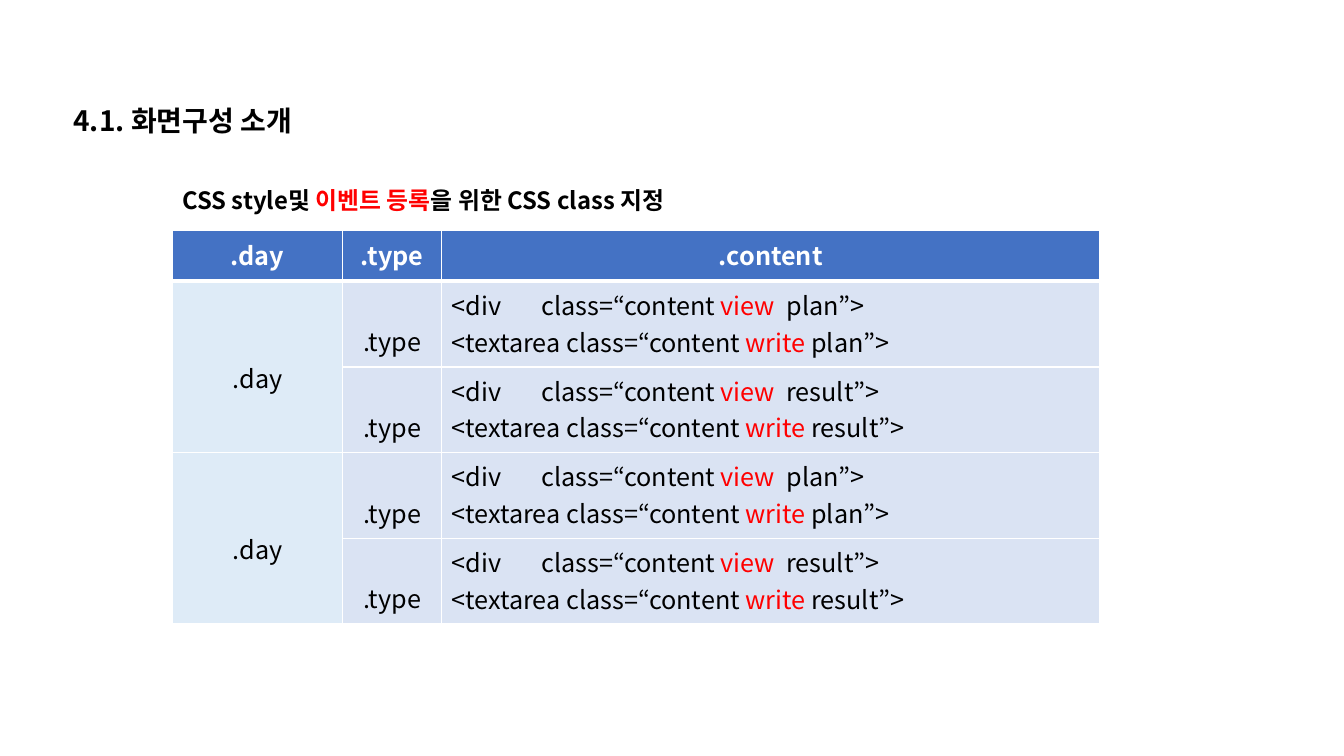
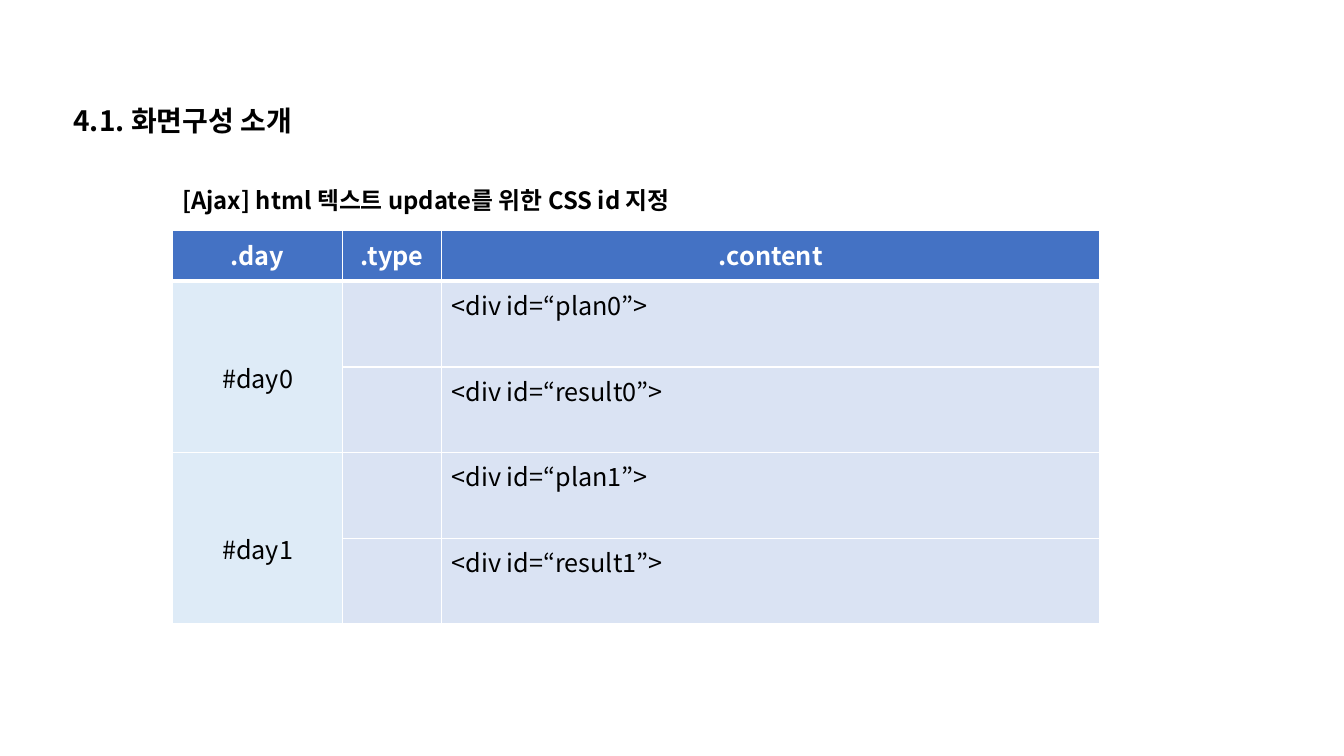
from dataclasses import dataclass
from lxml.etree import SubElement
from pptx import Presentation
from pptx.dml.color import RGBColor
from pptx.enum.text import MSO_ANCHOR, PP_ALIGN
from pptx.oxml import parse_xml
from pptx.oxml.ns import nsdecls, qn
from pptx.util import Inches, Pt


@dataclass(frozen=True)
class Theme:
    font: str = "Noto Sans CJK KR"
    title_size: int = 20
    subtitle_size: int = 17
    table_size: int = 18
    text: str = "000000"
    accent: str = "FF0000"
    white: str = "FFFFFF"
    header: str = "4472C4"
    day: str = "DEEBF7"
    body: str = "DAE3F3"
    thin: float = 1
    thick: float = 3


T = Theme()
TITLE = "4.1. 화면구성 소개"
HEADERS = [".day", ".type", ".content"]
TITLE_BOX = (0.63, 1, 2.85, 0.42)
SUBTITLE_BOX = (1.71, 1.86, 7.95, 0.31)
TABLE_BOX = (1.71, 2.29, 9.2, 3.9)
COLS = [1.69, 0.98, 6.53]
HEADER_HEIGHT = 0.5
LINE = 0.36      # height of one table text line
INSET = 0.05     # default top inset of a cell
TAB = 0.89       # where the class attribute starts after <div


def add_runs(p, runs, size, color=T.text, bold=False):
    """Add (text, colour) pairs or plain strings to a paragraph."""
    for run in runs:
        text, run_color = (run, color) if isinstance(run, str) else run
        r = p.add_run()
        r.text = text
        r.font.name = T.font
        r.font.size = Pt(size)
        r.font.bold = bold
        r.font.color.rgb = RGBColor.from_string(run_color)
        SubElement(r.font._element, qn("a:ea"), typeface=T.font)


def add_heading(s, box, runs, size, spacing):
    tf = s.shapes.add_textbox(*map(Inches, box)).text_frame
    tf.word_wrap = True
    tf.vertical_anchor = MSO_ANCHOR.MIDDLE
    p = tf.paragraphs[0]
    p.line_spacing = spacing
    p.space_before = Pt(10)
    add_runs(p, runs, size, bold=True)


def set_borders(cell, top, bottom):
    tc_pr = cell._tc.get_or_add_tcPr()
    widths = {"lnL": T.thin, "lnR": T.thin, "lnT": top, "lnB": bottom}
    for i, (tag, width) in enumerate(widths.items()):
        tc_pr.insert(i, parse_xml(
            f'<a:{tag} {nsdecls("a")} w="{Pt(width)}"><a:solidFill>'
            f'<a:srgbClr val="{T.white}"/></a:solidFill></a:{tag}>'))


def fill_cell(cell, lines, skip=0, align=PP_ALIGN.CENTER, **style):
    """Write lines of runs, starting `skip` text lines below the top."""
    cell.margin_top = Inches(INSET + skip * LINE)
    tf = cell.text_frame
    for i, runs in enumerate(lines):
        p = tf.add_paragraph() if i else tf.paragraphs[0]
        p.alignment = align
        if any("\t" in run for run in runs):
            tabs = SubElement(p._p.get_or_add_pPr(), qn("a:tabLst"))
            SubElement(tabs, qn("a:tab"), pos=str(Inches(TAB)), algn="l")
        add_runs(p, runs, T.table_size, **style)


def add_day_table(s, box, days, type_label, contents):
    """Header row, then for each day a merged cell beside its content rows."""
    n = len(contents)
    table = s.shapes.add_table(n + 1, len(COLS), *map(Inches, box)).table
    for col, width in zip(table.columns, COLS):
        col.width = Inches(width)
    row_height = (box[3] - HEADER_HEIGHT) / n
    for i, row in enumerate(table.rows):
        row.height = Inches(row_height if i else HEADER_HEIGHT)

    # Fills and borders
    for i in range(n + 1):
        for j in range(len(COLS)):
            cell = table.cell(i, j)
            cell.fill.solid()
            color = T.header if i == 0 else T.body if j else T.day
            cell.fill.fore_color.rgb = RGBColor.from_string(color)
            set_borders(cell, T.thick if i == 1 else T.thin,
                        T.thin if i else T.thick)

    # Header
    for j, text in enumerate(HEADERS):
        fill_cell(table.cell(0, j), [[text]], color=T.white, bold=True)

    # Days
    span = n // len(days)
    for k, day in enumerate(days):
        first = 1 + k * span
        table.cell(first, 0).merge(table.cell(first + span - 1, 0))
        fill_cell(table.cell(first, 0), [[day]], skip=2)

    # Types and contents
    for i, lines in enumerate(contents, 1):
        if type_label:
            fill_cell(table.cell(i, 1), [[type_label]], skip=1)
        fill_cell(table.cell(i, 2), lines, align=PP_ALIGN.LEFT)


def add_table_slide(prs, subtitle, days, type_label, contents):
    s = prs.slides.add_slide(prs.slide_layouts[6])
    add_day_table(s, TABLE_BOX, days, type_label, contents)
    add_heading(s, SUBTITLE_BOX, subtitle, T.subtitle_size, 0.7)
    add_heading(s, TITLE_BOX, [TITLE], T.title_size, 0.9)


def class_lines(kind):
    return [["<div\t", "class=“content ", ("view", T.accent), f"  {kind}”>"],
            ["<textarea class=“content ", ("write", T.accent), f" {kind}”>"]]


def main():
    prs = Presentation()
    prs.slide_width, prs.slide_height = Inches(13.33), Inches(7.5)
    kinds = ["plan", "result"]

    # CSS classes
    add_table_slide(
        prs,
        ["CSS style및 ", ("이벤트 등록", T.accent), "을 위한 CSS class 지정"],
        [".day"] * 2, ".type", [class_lines(kind) for kind in kinds * 2])

    # CSS ids
    add_table_slide(
        prs, ["[Ajax] html 텍스트 update를 위한 CSS id 지정"],
        ["#day0", "#day1"], None,
        [[[f"<div id=“{kind}{day}”>"]] for day in range(2) for kind in kinds])

    prs.save("out.pptx")


if __name__ == "__main__":
    main()
